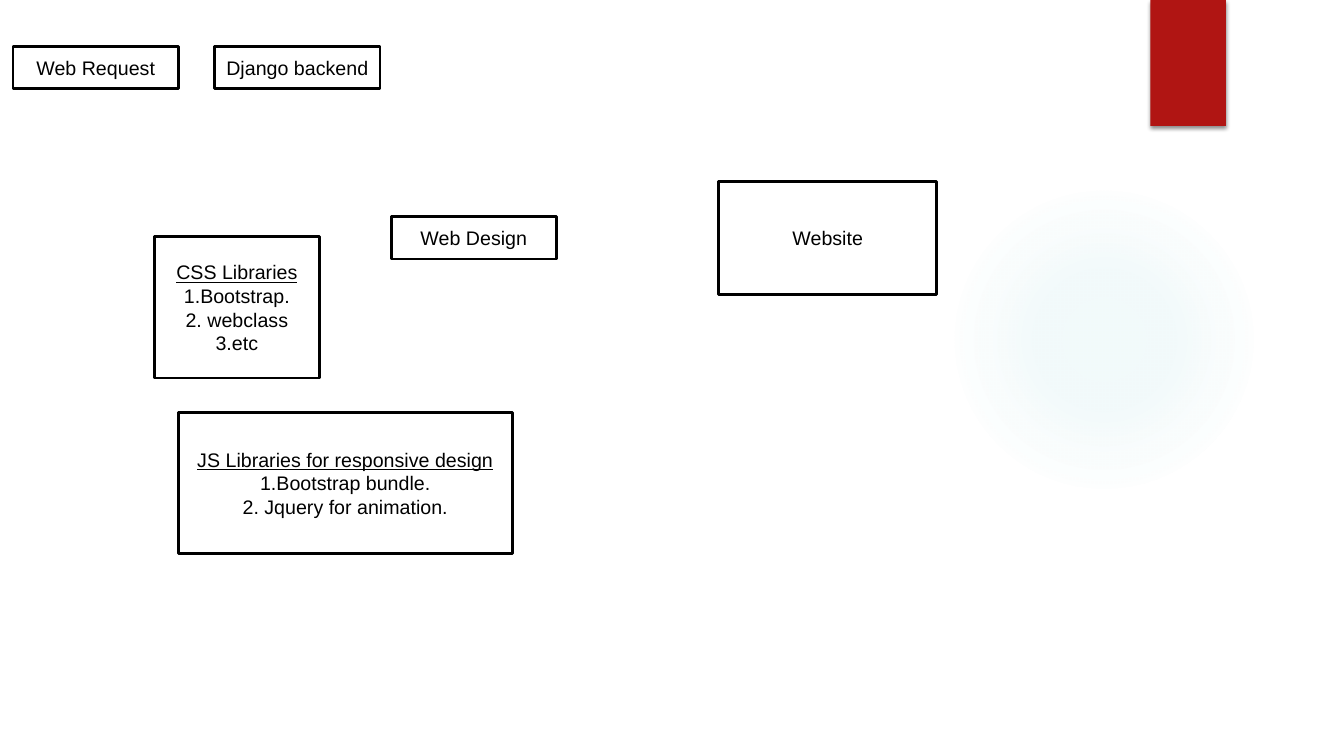
from lxml import etree
from pptx import Presentation
from pptx.dml.color import RGBColor
from pptx.enum.shapes import MSO_SHAPE
from pptx.enum.text import MSO_ANCHOR, PP_ALIGN
from pptx.oxml import parse_xml
from pptx.oxml.ns import nsdecls, qn
from pptx.util import Inches, Pt

COLORS = {"paper": "FFFFFF", "ink": "000000", "ribbon": "B01513", "glow": "4CB9C3"}


class SlideBuilder:
    font_name = "Arial"
    font_size = Pt(14)
    line_width = Pt(2)

    def __init__(self, slide):
        self.slide = slide

    def add_plain_shape(self, kind, left, top, width, height):
        """Add a preset shape without shadow or outline."""
        shape = self.slide.shapes.add_shape(
            kind, Inches(left), Inches(top), Inches(width), Inches(height))
        shape.shadow.inherit = False
        shape.line.fill.background()
        return shape

    def fill(self, shape, color):
        shape.fill.solid()
        shape.fill.fore_color.rgb = RGBColor.from_string(COLORS[color])

    def add_glow(self, left, top, size, stops):
        """Add a circle fading outwards; stops are (position, opacity) in percent."""
        shape = self.add_plain_shape(MSO_SHAPE.OVAL, left, top, size, size)
        shape.fill.background()
        stop_xml = "".join(
            f'<a:gs pos="{position * 1000}"><a:srgbClr val="{COLORS["glow"]}">'
            f'<a:alpha val="{opacity * 1000}"/></a:srgbClr></a:gs>'
            for position, opacity in stops)
        gradient = parse_xml(
            f'<a:gradFill {nsdecls("a")} rotWithShape="1"><a:gsLst>{stop_xml}</a:gsLst>'
            '<a:path path="circle"><a:fillToRect l="50000" t="50000" r="50000" b="50000"/>'
            '</a:path></a:gradFill>')
        properties = shape.element.spPr
        properties.replace(properties.find(qn("a:noFill")), gradient)

    def add_ribbon(self, left, top, width, height):
        shape = self.add_plain_shape(MSO_SHAPE.RECTANGLE, left, top, width, height)
        self.fill(shape, "ribbon")
        effects = shape.element.spPr.find(qn("a:effectLst"))
        shadow = etree.SubElement(
            effects, qn("a:outerShdw"), blurRad=str(Pt(3)), dist=str(Pt(2)),
            dir="5400000", algn="ctr", rotWithShape="0")
        color = etree.SubElement(shadow, qn("a:srgbClr"), val=COLORS["ink"])
        etree.SubElement(color, qn("a:alpha"), val="45000")

    def add_box(self, left, top, width, height, *lines):
        """Add an outlined box; with several lines, the first is an underlined heading."""
        shape = self.add_plain_shape(MSO_SHAPE.RECTANGLE, left, top, width, height)
        self.fill(shape, "paper")
        shape.line.color.rgb = RGBColor.from_string(COLORS["ink"])
        shape.line.width = self.line_width
        text_frame = shape.text_frame
        text_frame.word_wrap = True
        text_frame.vertical_anchor = MSO_ANCHOR.MIDDLE
        text_frame.text = "\n".join(lines)
        for index, paragraph in enumerate(text_frame.paragraphs):
            paragraph.alignment = PP_ALIGN.CENTER
            for run in paragraph.runs:
                run.font.name = self.font_name
                run.font.size = self.font_size
                run.font.color.rgb = RGBColor.from_string(COLORS["ink"])
                run.font.underline = index == 0 and len(lines) > 1


def main():
    presentation = Presentation()
    presentation.slide_width = Inches(13.33)
    presentation.slide_height = Inches(7.5)
    slide = presentation.slides.add_slide(presentation.slide_layouts[6])
    builder = SlideBuilder(slide)

    builder.add_glow(9.41, 1.83, 3.08, [(0, 7), (36, 6), (69, 0), (100, 0)])
    builder.add_ribbon(11.41, 0, 0.75, 1.25)

    label_width, label_height, list_height = 1.64, 0.42, 1.4
    builder.add_box(0.13, 0.46, label_width, label_height, "Web Request")
    builder.add_box(2.13, 0.46, label_width, label_height, "Django backend")
    builder.add_box(7.13, 1.8, 2.16, 1.12, "Website")
    builder.add_box(3.88, 2.15, label_width, label_height, "Web Design")
    builder.add_box(1.53, 2.35, label_width, list_height,
                    "CSS Libraries", "1.Bootstrap.", "2. webclass", "3.etc")
    builder.add_box(1.77, 4.09, 3.31, list_height,
                    "JS Libraries for responsive design",
                    "1.Bootstrap bundle.", "2. Jquery for animation.")
    presentation.save("out.pptx")


if __name__ == "__main__":
    main()
